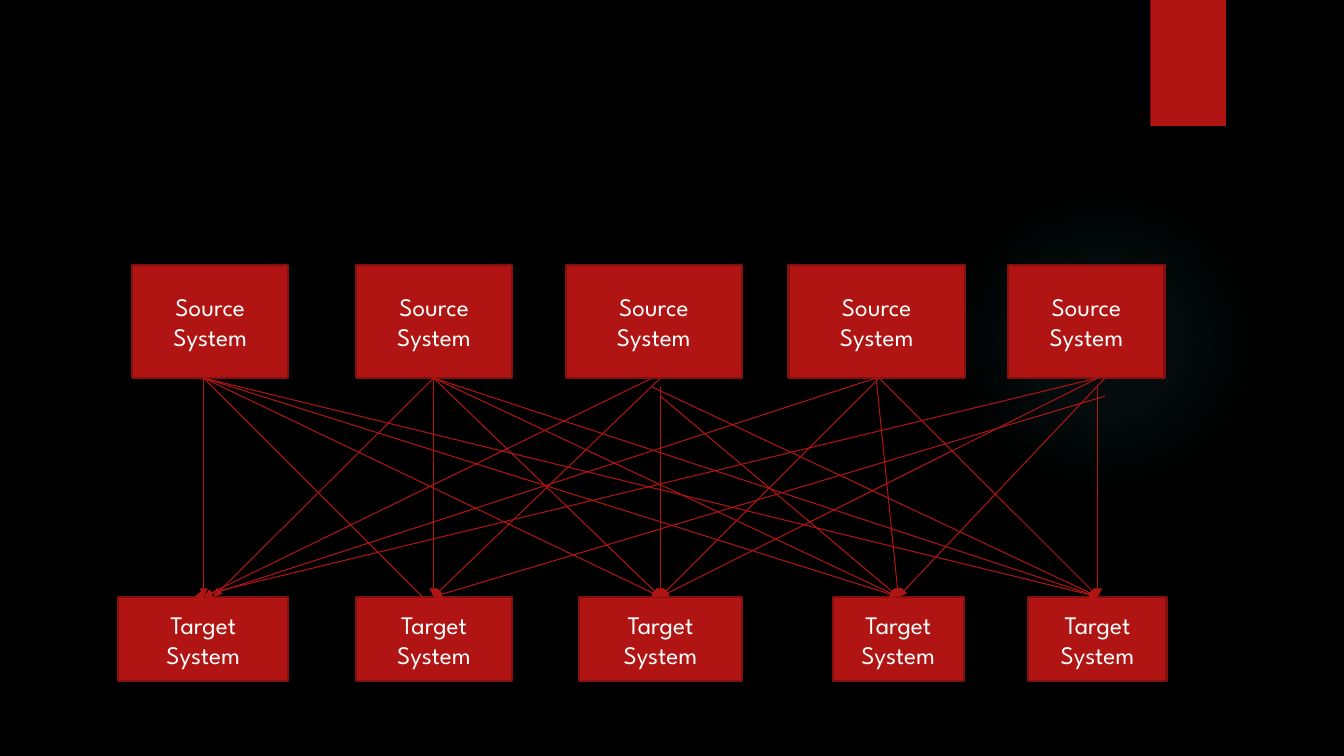
from pptx import Presentation
from pptx import util as u
from pptx.dml.color import RGBColor
from pptx.enum import shapes, text
from pptx.oxml import parse_xml
from pptx.oxml.ns import nsdecls, qn

THEME = {
    "back": "000000", "red": "B01513", "edge": "82100E", "glow": "50B9C1",
    "font": {"name": "League Spartan", "size": u.Pt(18)}, "ink": "FFFFFF",
    "border": 1.5, "wire": 0.75,
}
ROWS = [
    ("Source\nSystem", 2.63, 1.12,
     [(1.31, 1.55), (3.53, 1.55), (5.61, 1.75), (7.82, 1.75), (10, 1.55)]),
    ("Target\nSystem", 5.92, 0.84,
     [(1.17, 1.69), (3.53, 1.55), (5.74, 1.62), (8.26, 1.3), (10.2, 1.37)]),
]
TOP, END = 3.75, 5.92
GOALS = [2.02, 4.3, 6.55, 8.91, 10.89]
STARTS = [
    [(2.02, TOP)] * 5,
    [(4.3, TOP)] * 5,
    [(6.47, TOP), (6.55, TOP), (6.55, 3.84), (6.55, 3.93), (6.47, 3.84)],
    [(8.69, TOP), None, (8.72, TOP), (8.69, TOP), (8.72, TOP)],
    [(10.89, TOP), (10.96, 3.93), (10.89, TOP), (10.96, TOP), (10.89, 3.84)],
]
SHIFTS = {(0, 1): (4.44, 6.17), (1, 0): (2.12, END), (4, 0): (1.93, END)}
GLOW = [(0, 7), (36, 6), (69, 0)]

deck = Presentation()
deck.slide_width, deck.slide_height = u.Inches(13.33), u.Inches(7.5)
slide = deck.slides.add_slide(deck.slide_layouts[6])


def color(name):
    return RGBColor.from_string(THEME[name])


def paint(fill, name):
    fill.solid()
    fill.fore_color.rgb = color(name)


def add(kind, *place):
    shape = slide.shapes.add_shape(kind, *map(u.Inches, place))
    shape.shadow.inherit = False
    paint(shape.fill, "red")
    shape.line.fill.background()
    return shape


def glow():
    props = add(shapes.MSO_SHAPE.OVAL, 9.41, 1.83, 3.08, 3.08).element.spPr
    stops = "".join(
        f'<a:gs pos="{pos * 1000}"><a:srgbClr val="{THEME["glow"]}">'
        f'<a:alpha val="{alpha * 1000}"/></a:srgbClr></a:gs>'
        for pos, alpha in GLOW)
    props.replace(props.find(qn("a:solidFill")), parse_xml(
        f'<a:gradFill {nsdecls("a")}><a:gsLst>{stops}</a:gsLst><a:path path="circle">'
        '<a:fillToRect l="50000" t="50000" r="50000" b="50000"/></a:path></a:gradFill>'))


def tab():
    props = add(shapes.MSO_SHAPE.RECTANGLE, 11.41, 0, 0.75, 1.25).element.spPr
    props.find(qn("a:effectLst")).append(parse_xml(
        f'<a:outerShdw {nsdecls("a")} blurRad="{u.Pt(3)}" dist="{u.Pt(2)}" dir="5400000">'
        '<a:srgbClr val="000000"><a:alpha val="45000"/></a:srgbClr></a:outerShdw>'))


def box(label, *place):
    shape = add(shapes.MSO_SHAPE.RECTANGLE, *place)
    paint(shape.line.fill, "edge")
    shape.line.width = u.Pt(THEME["border"])
    frame = shape.text_frame
    frame.text = label
    frame.word_wrap = True
    frame.vertical_anchor = text.MSO_ANCHOR.MIDDLE
    for para in frame.paragraphs:
        para.alignment = text.PP_ALIGN.CENTER
        font = para.runs[0].font
        for key, value in THEME["font"].items():
            setattr(font, key, value)
        font.color.rgb = color("ink")


def wire(start, end):
    link = slide.shapes.add_connector(
        shapes.MSO_CONNECTOR.STRAIGHT, *map(u.Inches, start + end))
    paint(link.line.fill, "red")
    link.line.width = u.Pt(THEME["wire"])
    props = link.element.spPr
    props.find(qn("a:ln")).append(
        parse_xml(f'<a:tailEnd {nsdecls("a")} type="triangle"/>'))
    props.append(parse_xml(f'<a:effectLst {nsdecls("a")}/>'))


paint(slide.background.fill, "back")
glow()
tab()
for label, top, high, spots in ROWS:
    for left, wide in spots:
        box(label, left, top, wide, high)
for row, starts in enumerate(STARTS):
    for col, start in enumerate(starts):
        if start:
            wire(start, SHIFTS.get((row, col), (GOALS[col], END)))

deck.save("out.pptx")
